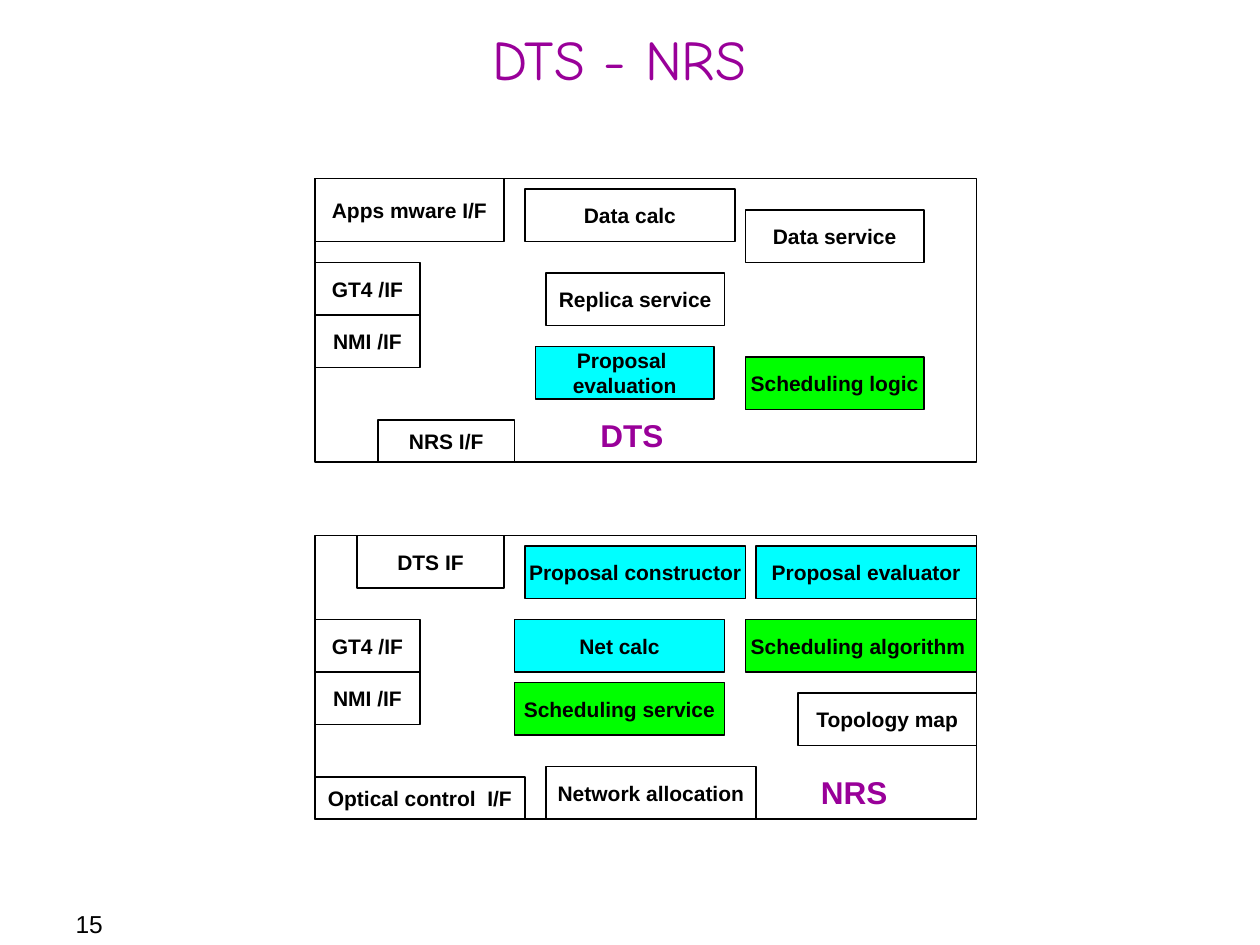
from pptx import Presentation, util as u
from pptx.dml.color import RGBColor
from pptx.enum import shapes, text

BLACK = RGBColor(0x00, 0x00, 0x00)
PURPLE = RGBColor(0x99, 0x00, 0x99)
CYAN = RGBColor(0x00, 0xFF, 0xFF)
GREEN = RGBColor(0x00, 0xFF, 0x00)

PANEL_X, PANEL_W, PANEL_H = 30, 63, 27

DTS_BOXES = [
    ("Data service", 41, 3, 17, 5, None),
    ("Scheduling logic", 41, 17, 17, 5, GREEN),
    ("Replica service", 22, 9, 17, 5, None),
    ("Apps mware I/F", 0, 0, 18, 6, None),
    ("Proposal \nevaluation", 21, 16, 17, 5, CYAN),
    ("NRS I/F", 6, 23, 13, 4, None),
    ("Data calc", 20, 1, 20, 5, None),
]
NRS_BOXES = [
    ("Topology map", 46, 15, 17, 5, None),
    ("Scheduling algorithm ", 41, 8, 22, 5, GREEN),
    ("Proposal constructor", 20, 1, 21, 5, CYAN),
    ("DTS IF", 4, 0, 14, 5, None),
    ("Scheduling service", 19, 14, 20, 5, GREEN),
    ("Optical control  I/F", 0, 23, 20, 4, None),
    ("Proposal evaluator", 42, 1, 21, 5, CYAN),
    ("Network allocation", 22, 22, 20, 5, None),
    ("Net calc", 19, 8, 20, 5, CYAN),
]
SHARED_BOXES = [
    ("GT4 /IF", 0, 8, 10, 5, None),
    ("NMI /IF", 0, 13, 10, 5, None),
]


def grid(*cells):
    return [u.Cm(n * 2.54 / 12) for n in cells]


def write(tf, content, size, color, align, font="Arial", bold=False):
    tf.text = content
    for p in tf.paragraphs:
        p.alignment = align
        p.font.name = font
        p.font.size = u.Pt(size)
        p.font.bold = bold
        p.font.color.rgb = color


def add_title(s, content):
    sp = s.shapes.title
    sp.left, sp.top, sp.width, sp.height = grid(5, 0, 108, 11)
    tf = sp.text_frame
    tf.auto_size = text.MSO_AUTO_SIZE.NONE
    tf.vertical_anchor = text.MSO_ANCHOR.MIDDLE
    write(tf, content, 32, PURPLE, text.PP_ALIGN.CENTER, "Comic Neue")


def add_box(s, x, y, w, h, fill=None, content=""):
    sp = s.shapes.add_shape(shapes.MSO_SHAPE.RECTANGLE, *grid(x, y, w, h))
    sp.shadow.inherit = False
    sp.line.color.rgb = BLACK
    sp.line.width = u.Pt(0.75)
    if fill is None:
        sp.fill.background()
    else:
        sp.fill.solid()
        sp.fill.fore_color.rgb = fill
    if content:
        tf = sp.text_frame
        tf.word_wrap = False
        tf.vertical_anchor = text.MSO_ANCHOR.MIDDLE
        write(tf, content, 12, BLACK, text.PP_ALIGN.CENTER, bold=True)


def add_label(s, content, x, y, w):
    tf = s.shapes.add_textbox(*grid(x, y, w, 4.8)).text_frame
    tf.word_wrap = False
    tf.auto_size = text.MSO_AUTO_SIZE.SHAPE_TO_FIT_TEXT
    write(tf, content, 18, PURPLE, text.PP_ALIGN.LEFT, bold=True)


def add_panel(s, top, boxes, label, label_x, label_w):
    add_box(s, PANEL_X, top, PANEL_W, PANEL_H)
    for content, x, y, w, h, fill in boxes + SHARED_BOXES:
        add_box(s, PANEL_X + x, top + y, w, h, fill, content)
    add_label(s, label, PANEL_X + label_x, top + 22, label_w)


def add_page_number(s, number):
    tf = s.shapes.add_textbox(*grid(0, 86, 17, 4)).text_frame
    tf.word_wrap = True
    write(tf, number, 14, BLACK, text.PP_ALIGN.CENTER)


def main():
    prs = Presentation()
    prs.slide_width, prs.slide_height = u.Cm(25.4), u.Cm(19.05)
    s = prs.slides.add_slide(prs.slide_layouts[5])
    add_page_number(s, "15")
    add_title(s, "DTS - NRS")
    add_panel(s, 17, DTS_BOXES, "DTS", 26, 8.4)
    add_panel(s, 51, NRS_BOXES, "NRS", 47, 8.8)
    prs.save("out.pptx")


if __name__ == "__main__":
    main()
